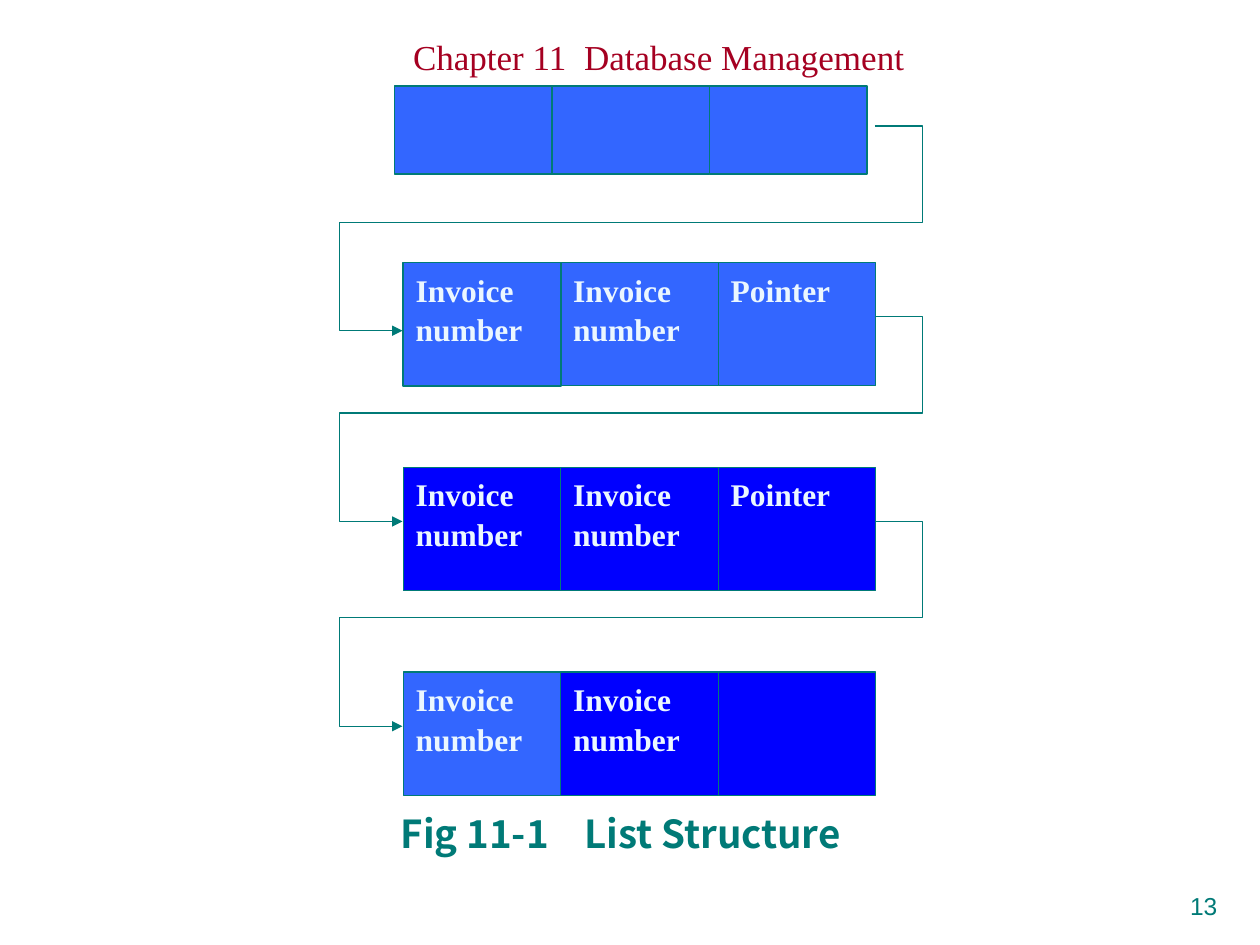
from lxml import etree
from pptx import Presentation
from pptx.dml.color import RGBColor
from pptx.enum.shapes import MSO_SHAPE
from pptx.enum.text import MSO_ANCHOR, PP_ALIGN
from pptx.oxml.ns import qn
from pptx.util import Pt

RECT = MSO_SHAPE.RECTANGLE
TOP = MSO_ANCHOR.TOP
LEFT, RIGHT = PP_ALIGN.LEFT, PP_ALIGN.RIGHT

SERIF, SANS, CJK = "Times New Roman", "Arial", "Noto Sans CJK SC"
TEAL, RED, PALE = "007A77", "A50021", "EBF7FF"
LIGHT, DEEP = "3366FF", "0000FF"


def color(value):
    return RGBColor.from_string(value)


def write(tf, text, size, font, fill, bold=False, align=LEFT, tab=None,
          spacing=None, inset=7.2):
    """Fill a text frame, one paragraph for each line of text."""
    tf.word_wrap = True
    tf.vertical_anchor = TOP
    tf.margin_left, tf.margin_right = Pt(inset), Pt(7.2)
    tf.margin_top = tf.margin_bottom = Pt(3.6)
    for i, line in enumerate(text.split("\n")):
        p = tf.paragraphs[0] if i == 0 else tf.add_paragraph()
        p.alignment = align
        if spacing:
            p.line_spacing = spacing
        if tab:
            tabs = etree.SubElement(p._p.get_or_add_pPr(), qn("a:tabLst"))
            etree.SubElement(tabs, qn("a:tab"), pos=str(Pt(tab)), algn="l")
        r = p.add_run()
        r.text = line
        r.font.size, r.font.name, r.font.bold = Pt(size), font, bold
        r.font.color.rgb = color(fill)
        if font == CJK:
            etree.SubElement(r._r.get_or_add_rPr(), qn("a:ea"), typeface=font)


class Deck:
    """Holds the line style and the current slide."""

    def __init__(self, s, line=TEAL):
        self.s, self.line = s, line

    def outline(self, sp, width):
        sp.shadow.inherit = False
        sp.line.color.rgb = color(self.line)
        sp.line.width = Pt(width)

    def title(self, x, y, w, h, text, **fmt):
        sp = self.s.shapes.title
        sp.left, sp.top, sp.width, sp.height = Pt(x), Pt(y), Pt(w), Pt(h)
        write(sp.text_frame, text, **fmt)

    def text(self, x, y, w, h, text, **fmt):
        sp = self.s.shapes.add_textbox(Pt(x), Pt(y), Pt(w), Pt(h))
        write(sp.text_frame, text, **fmt)

    def cell(self, x, y, w, h, fill, text="", width=0.75):
        sp = self.s.shapes.add_shape(RECT, Pt(x), Pt(y), Pt(w), Pt(h))
        sp.fill.solid()
        sp.fill.fore_color.rgb = color(fill)
        self.outline(sp, width)
        if text:
            write(sp.text_frame, text, size=18, font=SERIF, fill=PALE,
                  bold=True, spacing=1.05)

    def arrow(self, points):
        fb = self.s.shapes.build_freeform(*points[0], scale=Pt(1))
        fb.add_line_segments(points[1:], close=False)
        sp = fb.convert_to_shape()
        sp.fill.background()
        self.outline(sp, 0.75)
        etree.SubElement(sp.line._get_or_add_ln(), qn("a:tailEnd"), type="triangle")


def main():
    prs = Presentation()
    prs.slide_width, prs.slide_height = Pt(720), Pt(540)
    deck = Deck(prs.slides.add_slide(prs.slide_layouts[5]))

    deck.title(121, 16.6, 511, 39, "Chapter 11\tDatabase Management",
               size=20, font=SERIF, fill=RED, tab=97.7, inset=115)

    cell_w, cell_h, row_x = 90, 70.5, 230.4
    for i in range(3):
        deck.cell(225.4 + i * cell_w, 49, cell_w, 50.4, LIGHT, width=1)

    invoice = "Invoice\nnumber"
    rows = [
        ((invoice, invoice, "Pointer"), (LIGHT, LIGHT, LIGHT)),
        ((invoice, invoice, "Pointer"), (DEEP, DEEP, DEEP)),
        ((invoice, invoice, ""), (LIGHT, DEEP, DEEP)),
    ]
    for row, (texts, fills) in enumerate(rows):
        for col in (2, 1, 0):
            deck.cell(row_x + col * cell_w, 150 + row * 117, cell_w, cell_h,
                      fills[col], texts[col], width=1 if row == col == 0 else 0.75)

    row_end, right, left = row_x + 3 * cell_w, 527.4, 194.4
    for y in (72, 181.2, 298.2):
        deck.arrow([(row_end, y), (right, y), (right, y + 54.6),
                    (left, y + 54.6), (left, y + 117), (row_x, y + 117)])

    deck.text(67, 459.4, 576, 34, "Fig 11-1\tList Structure",
              size=22, font=CJK, fill=TEAL, bold=True, tab=105, inset=162)
    deck.text(522.7, 505.4, 180, 22.3, "13",
              size=14, font=SANS, fill=TEAL, align=RIGHT)
    prs.save("out.pptx")


if __name__ == "__main__":
    main()
